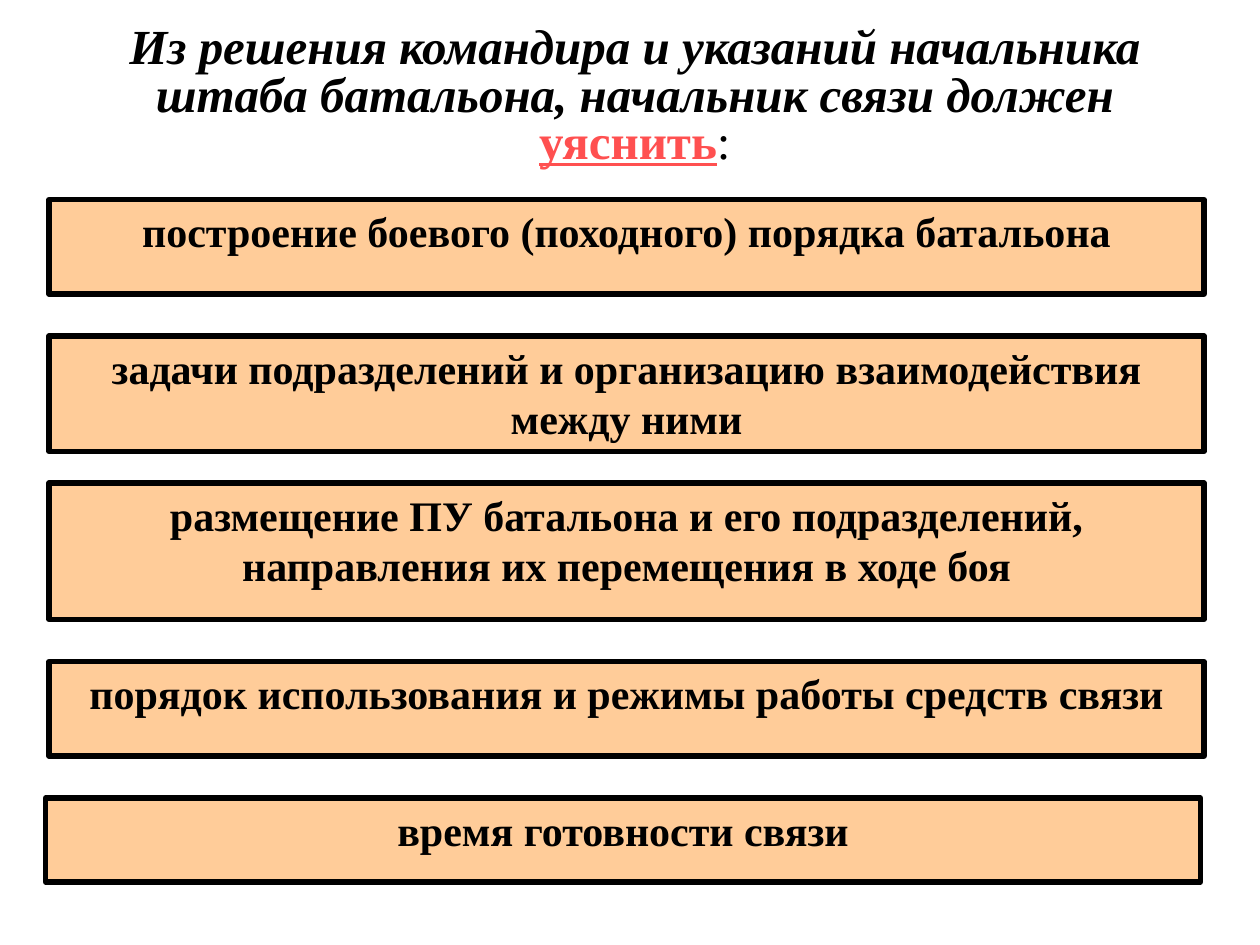
import pptx
import pptx.dml.color
import pptx.enum.shapes
import pptx.enum.text
import pptx.util

Pt = pptx.util.Pt
BOX_WIDTH = 660
# left, top, height, text
BOXES = [
    (28, 114, 54, "построение боевого (походного) порядка батальона"),
    (28, 192, 66, "задачи подразделений и организацию взаимодействия между ними"),
    (28, 276, 78, "размещение ПУ батальона и его подразделений, "
                  "направления их перемещения в ходе боя"),
    (28, 378, 54, "порядок использования и режимы работы средств связи"),
    (26, 456, 48, "время готовности связи"),
]
TITLE_RUNS = [
    ("Из решения командира и указаний начальника штаба батальона, "
     "начальник связи должен ", "000000", {"bold": True, "italic": True}),
    ("уяснить", "FF5050", {"bold": True, "italic": False, "underline": True}),
    (":", "000000", {"bold": False, "italic": False}),
]
FRAME_FORMAT = {
    "word_wrap": True,
    "auto_size": pptx.enum.text.MSO_AUTO_SIZE.NONE,
    "vertical_anchor": pptx.enum.text.MSO_ANCHOR.TOP,
    "margin_left": Pt(7.2),
    "margin_right": Pt(7.2),
    "margin_top": Pt(3.6),
    "margin_bottom": Pt(3.6),
}


def set_format(obj, values):
    for name, value in values.items():
        setattr(obj, name, value)


def rgb(value):
    return pptx.dml.color.RGBColor.from_string(value)


def write_text(sp, runs, size):
    """Fill the shape with one centred paragraph of (text, colour, format) runs."""
    tf = sp.text_frame
    set_format(tf, FRAME_FORMAT)
    p = tf.paragraphs[0]
    p.alignment = pptx.enum.text.PP_ALIGN.CENTER
    for text, color, values in runs:
        r = p.add_run()
        r.text = text
        set_format(r.font, {"name": "Times New Roman", "size": Pt(size), **values})
        r.font.color.rgb = rgb(color)
    return p


def add_title(s):
    sp = s.shapes.title
    set_format(sp, {"left": Pt(52.5), "top": Pt(12),
                    "width": Pt(620.5), "height": Pt(72)})
    p = write_text(sp, TITLE_RUNS, 28)
    p.line_spacing = 0.8


def add_box(s, left, top, height, text):
    sp = s.shapes.add_shape(pptx.enum.shapes.MSO_SHAPE.RECTANGLE,
                            Pt(left), Pt(top), Pt(BOX_WIDTH), Pt(height))
    sp.shadow.inherit = False
    sp.fill.solid()
    sp.fill.fore_color.rgb = rgb("FFCC99")
    sp.line.color.rgb = rgb("000000")
    sp.line.width = Pt(3)
    write_text(sp, [(text, "000000", {"bold": True})], 24)


def main():
    prs = pptx.Presentation()
    set_format(prs, {"slide_width": Pt(720), "slide_height": Pt(540)})
    s = prs.slides.add_slide(prs.slide_layouts.get_by_name("Title Only"))
    add_title(s)
    for box in BOXES:
        add_box(s, *box)
    prs.save("out.pptx")


if __name__ == "__main__":
    main()
